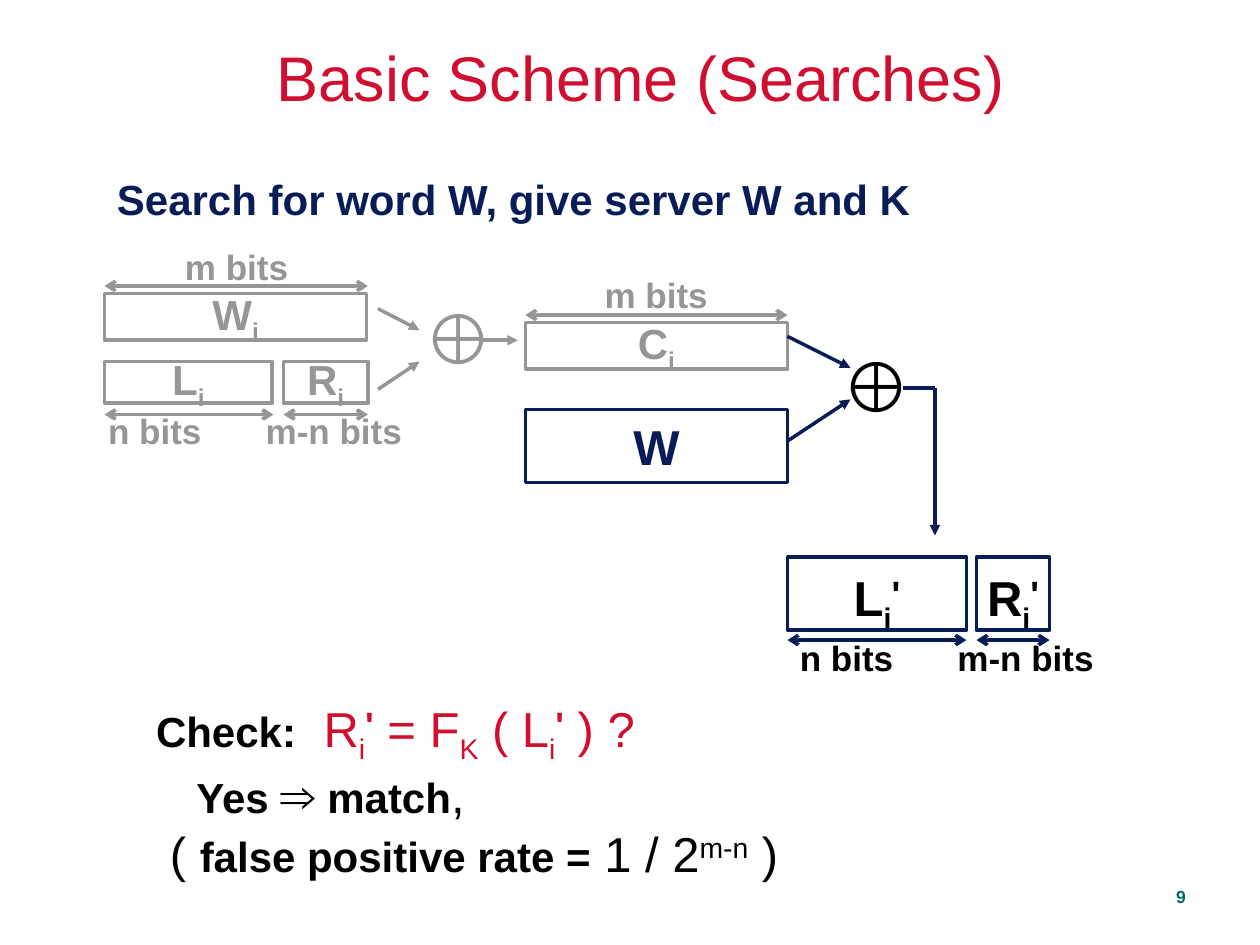
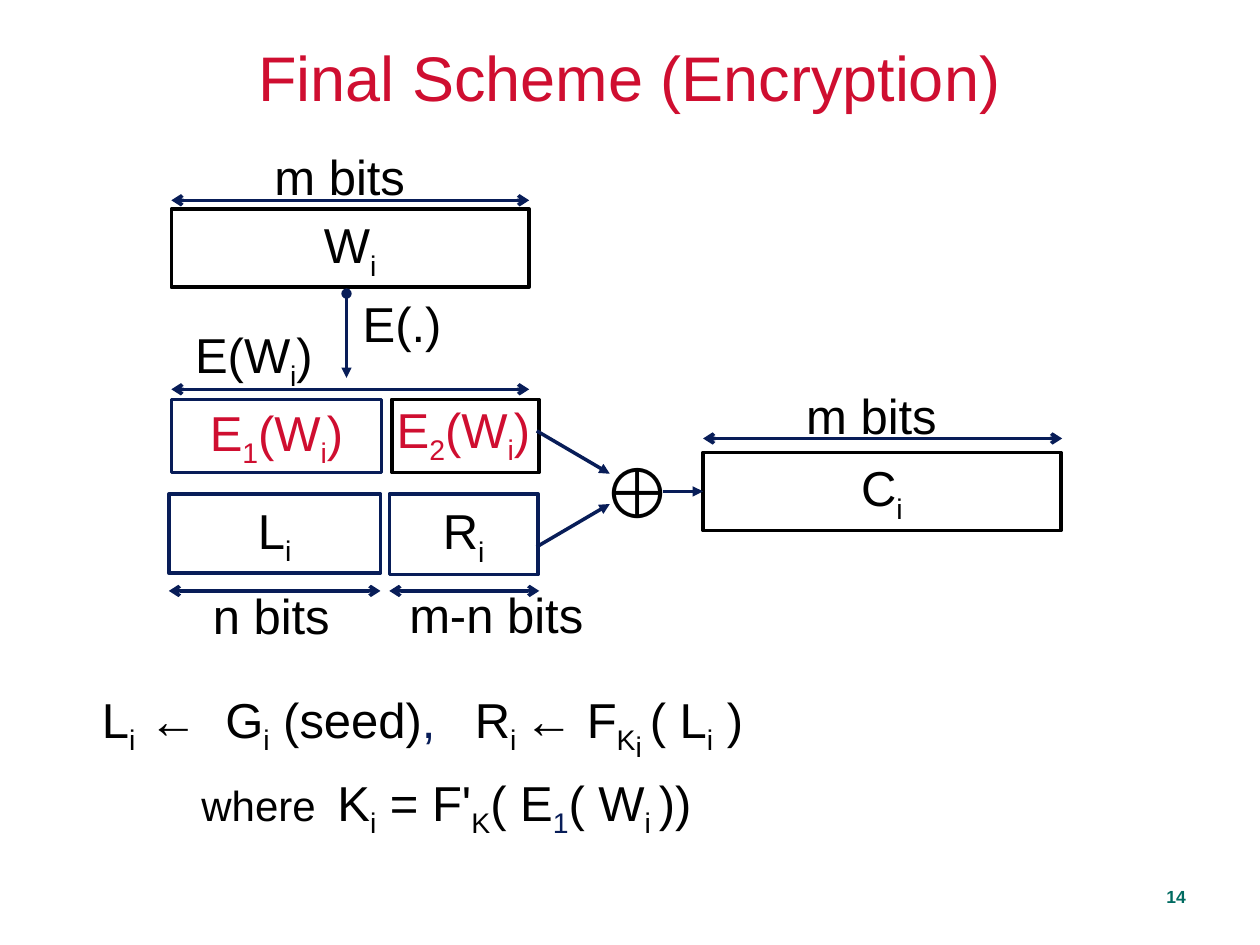
"""Build two slides on searching over encrypted words."""
from lxml import etree
from pptx import Presentation
from pptx.dml.color import RGBColor
from pptx.enum import shapes, text
from pptx.oxml import ns
from pptx.util import Inches, Pt

RED = RGBColor(0xCF, 0x0E, 0x30)
NAVY = RGBColor(0x08, 0x1D, 0x58)
GREY = RGBColor(0x96, 0x96, 0x96)
GREEN = RGBColor(0x00, 0x6B, 0x61)
BLACK = RGBColor(0, 0, 0)
WHITE = RGBColor(255, 255, 255)
FONT = "Arial"
LEFT, CENTER, RIGHT = text.PP_ALIGN.LEFT, text.PP_ALIGN.CENTER, text.PP_ALIGN.RIGHT
SUBSCRIPT = -25
PRIME = ("'", {"size": 36, "base": 14, "bold": True})


def add_run(paragraph, words, size=28, color=BLACK, bold=False, base=0):
    """Add one run; base raises or lowers it by a percentage."""
    run = paragraph.add_run()
    run.text = words
    run.font.name = FONT
    run.font.size = Pt(size)
    run.font.bold = bold
    run.font.color.rgb = color
    if base:
        run.font._element.set("baseline", str(base * 1000))


def add_tab_stop(paragraph, position):
    """Give the paragraph one left tab stop."""
    tabs = etree.SubElement(paragraph._p.get_or_add_pPr(), ns.qn("a:tabLst"))
    etree.SubElement(tabs, ns.qn("a:tab"), pos=str(Inches(position)), algn="l")


def write_paragraph(paragraph, content, align=LEFT, spacing=None, tab=None, indent=0, **style):
    """Write runs; every second piece between bars is a subscript."""
    if tab:
        add_tab_stop(paragraph, tab)
    if indent:
        paragraph._p.get_or_add_pPr().set("marL", str(Inches(indent)))
    paragraph.alignment = align
    if spacing:
        paragraph.line_spacing = spacing
    for item in [content] if isinstance(content, str) else content:
        words, changes = (item, {}) if isinstance(item, str) else item
        for index, piece in enumerate(words.split("|")):
            if piece:
                lowered = {"base": SUBSCRIPT} if index % 2 else {}
                add_run(paragraph, piece, **{**style, **changes, **lowered})


def add_text(slide, content, left, top, width, height, middle=False, **style):
    """Add a text box with one formatted paragraph and return its frame."""
    box = slide.shapes.add_textbox(Inches(left), Inches(top), Inches(width), Inches(height))
    frame = box.text_frame
    frame.word_wrap = True
    if middle:
        frame.vertical_anchor = text.MSO_ANCHOR.MIDDLE
    write_paragraph(frame.paragraphs[0], content, **style)
    return frame


def add_block(slide, content, left, top, width, height, outline=NAVY, **style):
    """Add a white outlined rectangle with a centred label."""
    block = slide.shapes.add_shape(
        shapes.MSO_SHAPE.RECTANGLE, Inches(left), Inches(top), Inches(width), Inches(height))
    block.shadow.inherit = False
    block.fill.solid()
    block.fill.fore_color.rgb = WHITE
    block.line.color.rgb = outline
    block.line.width = Pt(2)
    frame = block.text_frame
    frame.word_wrap = False
    frame.vertical_anchor = text.MSO_ANCHOR.MIDDLE
    write_paragraph(frame.paragraphs[0], content, align=CENTER, **style)
    return block


def add_line(slide, start, end, color=NAVY, head=None, tail="triangle", width=2):
    """Add a straight connector with optional arrowheads."""
    line = slide.shapes.add_connector(
        shapes.MSO_CONNECTOR.STRAIGHT, *(Inches(value) for value in (*start, *end)))
    line.line.color.rgb = color
    line.line.width = Pt(width)
    outline = line.line._get_or_add_ln()
    for tag, kind in (("a:headEnd", head), ("a:tailEnd", tail)):
        if kind:
            etree.SubElement(outline, ns.qn(tag), type=kind)
    etree.SubElement(line._element.spPr, ns.qn("a:effectLst"))
    return line


def add_span(slide, left, right, top, color=NAVY):
    """Add a horizontal measure with open arrows at both ends."""
    add_line(slide, (left, top), (right, top), color, head="arrow", tail="arrow")


def add_xor(slide, left, top, **style):
    """Add the exclusive-or sign."""
    add_text(slide, "⊕", left, top, 0.7, 0.77, size=40, **style)


def start_slide(presentation, title, title_left, number):
    """Add a blank slide with its title and page number."""
    slide = presentation.slides.add_slide(presentation.slide_layouts[6])
    add_text(slide, str(number), 7.58, 7, 1.93, 0.25, align=RIGHT,
             spacing=0.9, size=10, color=GREEN, bold=True)
    add_text(slide, title, title_left, 0.25, 7.83, 0.8, middle=True,
             align=CENTER, spacing=0.88, size=36, color=RED)
    return slide


def draw_stored_word(slide):
    """Draw the greyed encryption of the stored word."""
    label = {"size": 20, "color": GREY, "bold": True}
    for words, left, top, width in (
            ("m bits", 1.37, 1.9, 1.1), ("m bits", 4.7, 2.12, 1.1),
            ("n bits", 0.76, 3.2, 1), ("m-n bits", 2.01, 3.2, 1.35)):
        add_text(slide, words, left, top, width, 0.44, **label)
    for words, left, top, width, height in (
            ("W|i", 0.83, 2.33, 2.08, 0.37), ("L|i", 0.83, 2.87, 1.33, 0.33),
            ("R|i", 2.25, 2.87, 0.67, 0.33), ("C|i", 4.17, 2.56, 2.08, 0.37)):
        add_block(slide, words, left, top, width, height, GREY, size=24, color=GREY, bold=True)
    for left, right, top in ((0.83, 2.92, 2.27), (4.17, 6.25, 2.5),
                             (0.83, 2.17, 3.29), (2.25, 2.92, 3.29)):
        add_span(slide, left, right, top, GREY)
    add_xor(slide, 3.26, 2.29, color=GREY)
    for start, end in (((3, 2.45), (3.33, 2.62)), ((3, 3.09), (3.33, 2.87)),
                       ((3.83, 2.7), (4.11, 2.7))):
        add_line(slide, start, end, GREY)


def draw_search(slide):
    """Draw the search for W and the resulting check."""
    add_block(slide, "W", 4.17, 3.25, 2.08, 0.58, color=NAVY, bold=True)
    add_xor(slide, 6.58, 2.67, bold=True)
    add_line(slide, (6.25, 2.67), (6.75, 2.92))
    add_line(slide, (6.25, 3.5), (6.75, 3.17))
    add_line(slide, (7.17, 3.08), (7.42, 3.08), tail=None)
    add_line(slide, (7.42, 3.08), (7.42, 4.25))
    for letter, left, width, words, label_left, label_width in (
            ("L", 6.25, 1.42, "n bits", 6.25, 1),
            ("R", 7.75, 0.58, "m-n bits", 7.5, 1.35)):
        add_block(slide, [letter + "|i", PRIME], left, 4.42, width, 0.58, bold=True)
        add_span(slide, left, left + width, 5.08)
        add_text(slide, words, label_left, 5, label_width, 0.44, size=20, bold=True)

    strong = {"size": 24, "bold": True}
    red = {"color": RED}
    red_prime = (PRIME[0], {**PRIME[1], **red})
    frame = add_text(
        slide, [("Check:", strong), "\t", ("R|i", red), red_prime, (" = F|K| ( L|i", red),
                red_prime, (" ) ?", red)], 1.14, 5.38, 5.3, 1.68, tab=1.33)
    write_paragraph(frame.add_paragraph(), [
        ("Yes ", strong), ("⇒", {"bold": True}), (" match", strong), ","], indent=0.32)
    write_paragraph(frame.add_paragraph(), [
        "( ", ("false positive rate =", strong), " 1 / 2", ("m-n", {"base": 30}), " )"],
        indent=0.11)


def build_search_slide(presentation):
    """Build the slide on searches in the basic scheme."""
    slide = start_slide(presentation, "Basic Scheme (Searches)", 1.17, 9)
    add_text(slide, "Search for word W, give server W and K", 0.83, 1.33, 6.7, 0.5,
             size=24, color=NAVY, bold=True)
    draw_stored_word(slide)
    draw_search(slide)


def build_encryption_slide(presentation):
    """Build the slide on encryption in the final scheme."""
    slide = start_slide(presentation, "Final Scheme (Encryption)", 1.08, 14)
    add_block(slide, "W|i", 1.36, 1.66, 2.84, 0.62, BLACK)
    add_block(slide, "E|1|(W|i|)", 1.36, 3.17, 1.67, 0.58, color=RED)
    add_block(slide, "", 3.11, 3.17, 1.17, 0.58, BLACK)
    add_block(slide, "L|i", 1.34, 3.92, 1.68, 0.63)
    add_block(slide, "R|i", 3.09, 3.92, 1.18, 0.64)
    cipher = add_block(slide, "C|i", 5.58, 3.59, 2.84, 0.62, BLACK)

    for left, right, top in ((1.36, 4.2, 1.59), (1.36, 4.2, 3.09), (5.58, 8.43, 3.48),
                             (1.34, 3.02, 4.69), (3.09, 4.28, 4.69)):
        add_span(slide, left, right, top)
    for words, left, top, width in (
            ("m bits", 2.08, 1.11, 1.35), ("m bits", 6.3, 3.01, 1.35),
            ("n bits", 1.59, 4.6, 1.25), ("m-n bits", 3.15, 4.59, 1.7),
            ("E(.)", 2.78, 2.28, 0.95), ("E(W|i|)", 1.45, 2.53, 1.25)):
        add_text(slide, words, left, top, width, 0.57)
    add_text(slide, "E|2|(W|i|)", 3.05, 3.12, 1.4, 0.63, color=RED)

    add_xor(slide, 4.68, 3.51)
    add_line(slide, (2.75, 2.33), (2.75, 3), head="oval", width=1.5)
    add_line(slide, (4.26, 3.42), (4.84, 3.76))
    add_line(slide, (4.26, 4.34), (4.84, 4))
    add_line(slide, (5.26, 3.9), (5.58, 3.9)).end_connect(cipher, 1)

    add_text(slide, ["L|i| ←\tG|i| (seed)", (",", {"color": NAVY})],
             0.71, 5.42, 2.95, 0.63, tab=0.98)
    add_text(slide, ["R|i |← F|K", ("i ", {"base": -40}), "( L|i| )"],
             3.67, 5.42, 3, 0.69)
    add_text(slide, [("where", {"size": 24}), "\tK|i| = F'|K|( E",
                     ("1", {"color": NAVY, "base": SUBSCRIPT}), "( W|i |))"],
             1.5, 6.08, 5.27, 0.63, tab=1.08)


def main():
    """Build and save the presentation."""
    presentation = Presentation()
    presentation.slide_width = Inches(10)
    presentation.slide_height = Inches(7.5)
    build_search_slide(presentation)
    build_encryption_slide(presentation)
    presentation.save("out.pptx")


if __name__ == "__main__":
    main()
